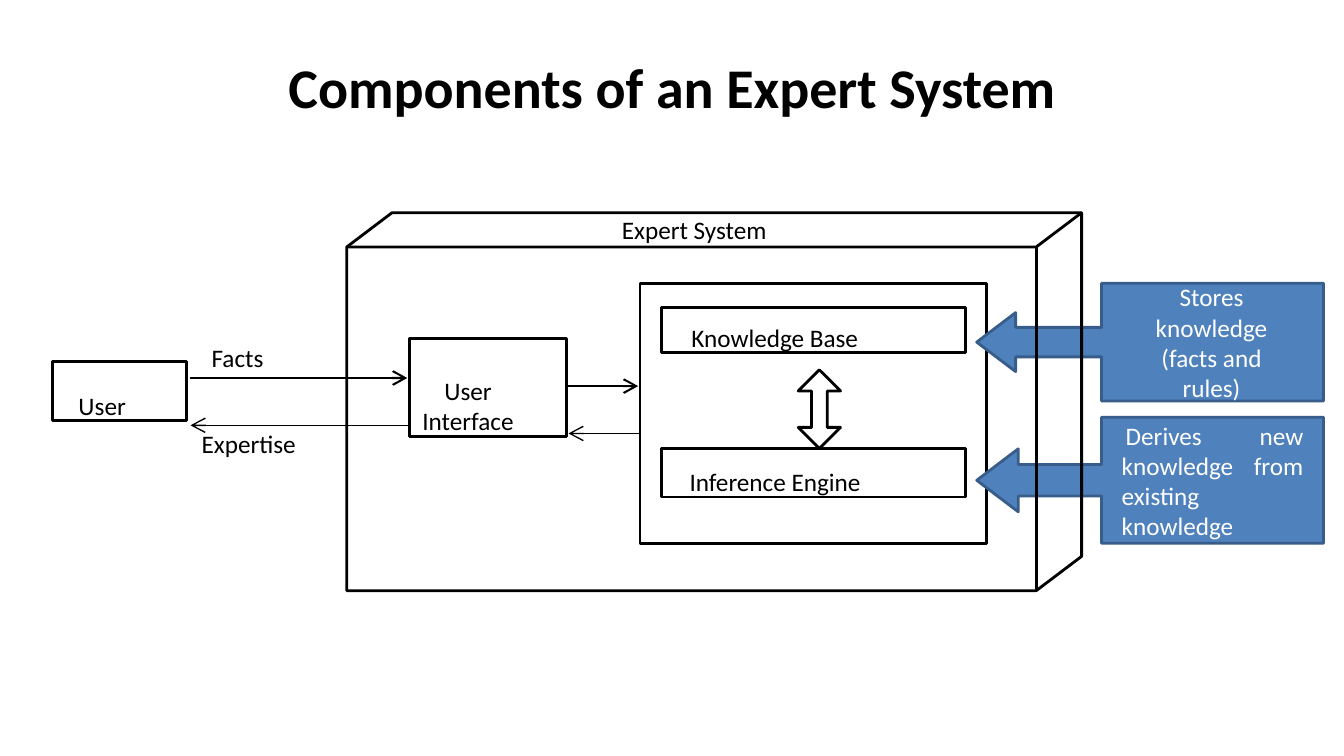
"""Draw the components of an expert system on one slide."""
from dataclasses import dataclass

from lxml import etree
from pptx import Presentation
from pptx.dml.color import RGBColor
from pptx.enum.shapes import MSO_CONNECTOR, MSO_SHAPE
from pptx.enum.text import MSO_ANCHOR, PP_ALIGN
from pptx.oxml.ns import qn
from pptx.util import Pt

RECT = MSO_SHAPE.RECTANGLE
CALLOUT = MSO_SHAPE.LEFT_ARROW_CALLOUT
DOUBLE = MSO_SHAPE.UP_DOWN_ARROW
STRAIGHT = MSO_CONNECTOR.STRAIGHT
TOP, MIDDLE = MSO_ANCHOR.TOP, MSO_ANCHOR.MIDDLE
LEFT, CENTER, JUSTIFY = PP_ALIGN.LEFT, PP_ALIGN.CENTER, PP_ALIGN.JUSTIFY


@dataclass(frozen=True)
class Theme:
    font: str = "Calibri"
    ink: RGBColor = RGBColor(0, 0, 0)
    pale: RGBColor = RGBColor(255, 255, 255)
    blue: RGBColor = RGBColor(0x4F, 0x81, 0xBD)
    edge: RGBColor = RGBColor(0x38, 0x5D, 0x8A)
    title: int = 40
    body: int = 18
    line: int = 2


theme = Theme()
deck = Presentation()
deck.slide_width, deck.slide_height = Pt(960), Pt(540)
slide = deck.slides.add_slide(deck.slide_layouts[6])
shapes = slide.shapes


def write(shape, text, inset=(0, 1, 0, 0), color=theme.ink, size=theme.body,
          align=LEFT, anchor=TOP, bold=False, indent=0):
    frame = shape.text_frame
    frame.text = text
    frame.word_wrap = True
    frame.vertical_anchor = anchor
    (frame.margin_left, frame.margin_top,
     frame.margin_right, frame.margin_bottom) = map(Pt, inset)
    para = frame.paragraphs[0]
    para.alignment = align
    if indent:
        para._p.get_or_add_pPr().set("indent", str(Pt(indent)))
    font = para.runs[0].font
    font.name, font.size, font.bold = theme.font, Pt(size), bold
    font.color.rgb = color


def paint(shape, edge=theme.ink, fill=None):
    shape.shadow.inherit = False
    shape.line.color.rgb = edge
    shape.line.width = Pt(theme.line)
    if fill is None:
        shape.fill.background()
    else:
        shape.fill.solid()
        shape.fill.fore_color.rgb = fill


title = shapes.add_textbox(Pt(84), Pt(36), Pt(792), Pt(50))
write(title, "Components of an Expert System", size=theme.title,
      align=CENTER, anchor=MIDDLE, bold=True)

panel = shapes.add_shape(RECT, Pt(457.2), Pt(202.3), Pt(247.7), Pt(185.8))
paint(panel)

boxes = [
    ("User", 37.4, 258.5, 95.8, 41.8, (18.7, 20.5, 0, 0), 0),
    ("Knowledge Base", 472.3, 219.6, 217.4, 32.4, (21.6, 10.8, 0, 0), 0),
    ("Inference Engine", 472.3, 320.4, 217.4, 34.6, (20.2, 13, 0, 0), 0),
    ("User Interface", 292.3, 241.9, 112.3, 69.8, (9.4, 26, 15.8, 0), 15.8),
]
for text, x, y, w, h, inset, indent in boxes:
    box = shapes.add_shape(RECT, Pt(x), Pt(y), Pt(w), Pt(h))
    paint(box)
    write(box, text, inset, indent=indent)

labels = [
    ("Facts", 151.2, 243.4, 52),
    ("Expertise", 144, 305.3, 93),
    ("Expert System", 444.2, 151.9, 140),
]
for text, x, y, w in labels:
    label = shapes.add_textbox(Pt(x), Pt(y), Pt(w), Pt(24))
    write(label, text)

flows = [
    (135.4, 290.9, 270, 1.5),
    (292.3, 136.1, 303.8, 1),
    (405.4, 455.8, 275.8, 1.5),
    (457.2, 406.1, 309.6, 1),
]
for start, end, y, width in flows:
    flow = shapes.add_connector(STRAIGHT, Pt(start), Pt(y), Pt(end), Pt(y))
    flow.line.color.rgb = theme.ink
    flow.line.width = Pt(width)
    etree.SubElement(flow.line._get_or_add_ln(), qn("a:tailEnd"),
                     type="arrow", w="lg", len="lg")
    etree.SubElement(flow._element.spPr, qn("a:effectLst"))

link = shapes.add_shape(DOUBLE, Pt(570.2), Pt(264.2), Pt(30.2), Pt(56.2))
paint(link)
link.adjustments[0], link.adjustments[1] = 0.5, 0.37

notes = [
    ("Stores knowledge (facts and rules)", 202.3, 84.2,
     (23.8, 0, 25.2, 0), CENTER, 0),
    ("Derives new knowledge from existing knowledge", 298.1, 90,
     (14.4, 0, 14.4, 0), JUSTIFY, 2.9),
]
for text, y, h, inset, align, indent in notes:
    note = shapes.add_shape(CALLOUT, Pt(697.7), Pt(y), Pt(247.7), Pt(h))
    paint(note, theme.edge, theme.blue)
    for i, share in enumerate((0.25, 0.25, 0.33, 0.64)):
        note.adjustments[i] = share
    write(note, text, inset, theme.pale, align=align, anchor=MIDDLE,
          indent=indent)

x1, x2, x3, x4 = map(Pt, (247.7, 280.1, 740.2, 772.6))
y1, y2, y3, y4 = map(Pt, (151.9, 176.4, 397.4, 421.9))
case = shapes.build_freeform(x1, y2)
case.add_line_segments([(x2, y1), (x4, y1), (x4, y3), (x3, y4), (x1, y4)])
case.move_to(x1, y2)
case.add_line_segments([(x3, y2), (x4, y1)], close=False)
case.move_to(x3, y2)
case.add_line_segments([(x3, y4)], close=False)
paint(case.convert_to_shape())

deck.save("out.pptx")
